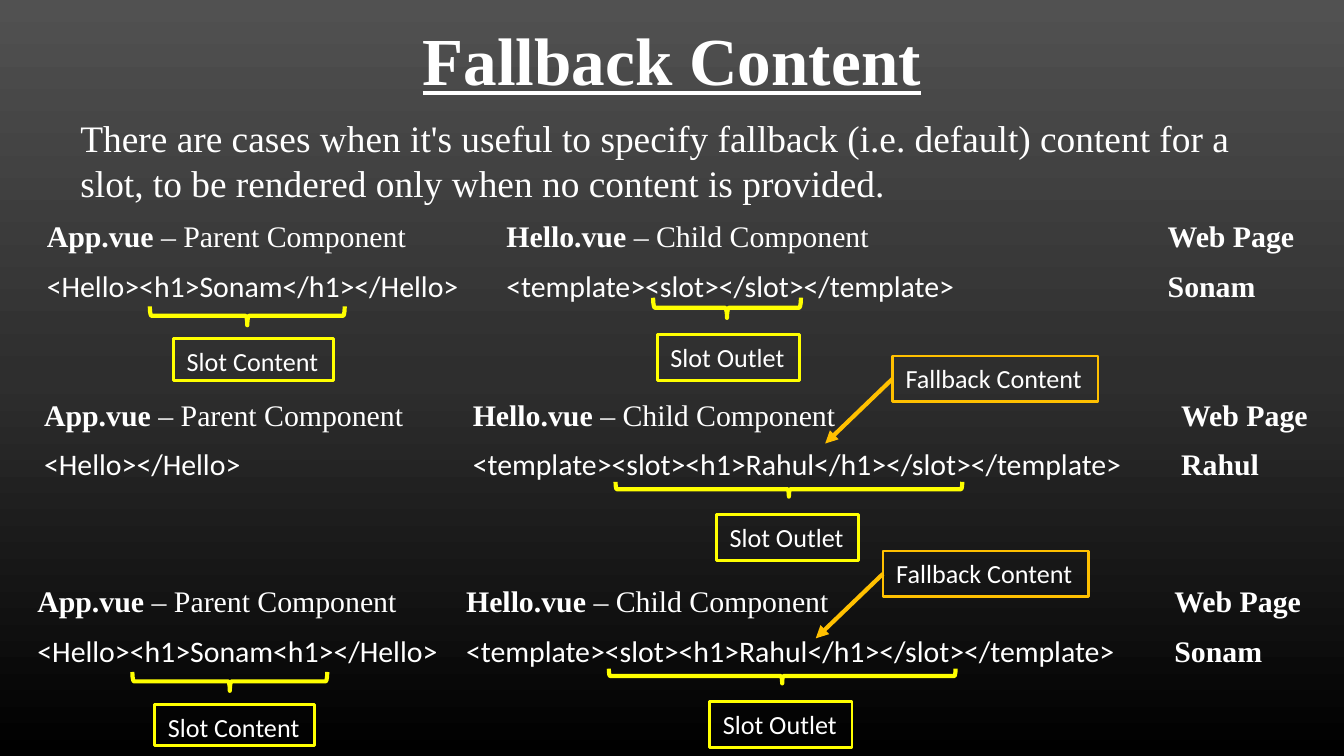
from pptx import Presentation
from pptx.dml.color import RGBColor
from pptx.enum.shapes import MSO_CONNECTOR, MSO_SHAPE
from pptx.enum.text import MSO_ANCHOR, PP_ALIGN
from pptx.oxml import parse_xml
from pptx.oxml.ns import nsdecls
from pptx.util import Inches, Pt

SERIF, SANS = "Times New Roman", "Calibri"
WHITE, YELLOW, AMBER = "FFFFFF", "FFFF00", "FFC000"
STOPS = [(0, "515151"), (50, "2E2E2E"), (100, "000000")]

TITLE = "Fallback Content"
INTRO = ("There are cases when it's useful to specify fallback (i.e. default) "
         "content for a slot, to be rendered only when no content is provided.")
PARENT = [("App.vue ", True), ("– Parent Component", False)]
CHILD = [("Hello.vue ", True), ("– Child Component", False)]
PAGE = [("Web Page", True)]
FALL = "<template><slot><h1>Rahul</h1></slot></template>"

# Each example: top, then (left, width, code) for parent, child and (left, result)
ROWS = [
    (1.57, (0.25, 3.42, "<Hello><h1>Sonam</h1></Hello>"),
     (3.67, 3.67, "<template><slot></slot></template>"), (8.59, "Sonam")),
    (2.9, (0.23, 3.42, "<Hello></Hello>"), (3.42, 5.08, FALL), (8.69, "Rahul")),
    (4.29, (0.18, 3.42, "<Hello><h1>Sonam<h1></Hello>"),
     (3.37, 5.08, FALL), (8.64, "Sonam")),
]
# Label size and outline colour
KINDS = {"Slot Content": (1.19, 0.31, YELLOW),
         "Slot Outlet": (1.06, 0.34, YELLOW),
         "Fallback Content": (1.53, 0.34, AMBER)}
# Label, its left and top, then brace: centre x, centre y, span, depth
MARKS = [
    ("Slot Content", 1.29, 2.52, (1.84, 2.35, 1.45, 0.14)),
    ("Slot Outlet", 4.89, 2.49, (5.41, 2.29, 1.1, 0.15)),
    ("Slot Outlet", 5.33, 3.83, (5.87, 3.64, 2.58, 0.11)),
    ("Slot Content", 1.15, 5.24, (1.71, 5.07, 1.45, 0.14)),
    ("Slot Outlet", 5.28, 5.22, (5.82, 5.03, 2.58, 0.11)),
]
NOTES = [(6.64, 2.65), (6.57, 4.1)]
REACH = (-0.5, 0.48)

deck = Presentation()
deck.slide_width = Inches(10)
deck.slide_height = deck.slide_width * 9 // 16
slide = deck.slides.add_slide(deck.slide_layouts[6])
shapes = slide.shapes


def color(code):
    return RGBColor.from_string(code)


def put(para, text, size, font=SERIF, bold=False, under=False):
    run = para.add_run()
    run.text = text
    face = run.font
    face.size, face.name, face.bold = Pt(size), font, bold
    face.underline = under
    face.color.rgb = color(WHITE)


def frame(x, y, w, h):
    body = shapes.add_textbox(*map(Inches, (x, y, w, h))).text_frame
    body.word_wrap = True
    return body


def block(x, y, w, head, text, font, bold):
    body = frame(x, y, w, 0.8)
    for part, strong in head:
        put(body.paragraphs[0], part, 16, bold=strong)
    para = body.add_paragraph()
    para.space_before = Pt(7.5)
    put(para, text, 16, font, bold)


def outline(kind, x, y, w, h, tone, width):
    shape = shapes.add_shape(kind, *map(Inches, (x, y, w, h)))
    shape.shadow.inherit = False
    shape.fill.background()
    shape.line.color.rgb = color(tone)
    shape.line.width = Pt(width)
    return shape


def label(text, x, y):
    w, h, tone = KINDS[text]
    box = outline(MSO_SHAPE.RECTANGLE, x, y, w, h, tone, 1.5)
    body = box.text_frame
    body.word_wrap = False
    body.vertical_anchor = MSO_ANCHOR.TOP
    para = body.paragraphs[0]
    para.alignment = PP_ALIGN.LEFT
    put(para, text, 14, SANS)
    return box


def brace(x, y, span, depth):
    # Turned so that its tip points down
    shape = outline(MSO_SHAPE.LEFT_BRACE, x - depth / 2, y - span / 2,
                    depth, span, YELLOW, 2.25)
    shape.rotation = 270


def arrow(box):
    x, y = box.left, box.top + box.height // 2
    line = shapes.add_connector(MSO_CONNECTOR.STRAIGHT, x, y,
                                x + Inches(REACH[0]), y + Inches(REACH[1]))
    line.begin_connect(box, 1)
    line.line.color.rgb = color(AMBER)
    line.line.width = Pt(2.25)
    line.line._get_or_add_ln().append(
        parse_xml(f'<a:tailEnd {nsdecls("a")} type="triangle"/>'))
    line._element.spPr.append(parse_xml(f'<a:effectLst {nsdecls("a")}/>'))


# Background gradient, top to bottom
stops = "".join(f'<a:gs pos="{pos * 1000}"><a:srgbClr val="{tone}"/></a:gs>'
                for pos, tone in STOPS)
slide.element.cSld.insert(0, parse_xml(
    f'<p:bg {nsdecls("p", "a")}><p:bgPr><a:gradFill><a:gsLst>{stops}</a:gsLst>'
    '<a:lin ang="5400000" scaled="0"/></a:gradFill><a:effectLst/></p:bgPr></p:bg>'))

# Title and introduction
body = frame(0.5, 0.06, 9, 0.75)
body.vertical_anchor = MSO_ANCHOR.MIDDLE
body.paragraphs[0].alignment = PP_ALIGN.CENTER
put(body.paragraphs[0], TITLE, 36, bold=True, under=True)
put(frame(0.5, 0.81, 9, 0.92).paragraphs[0], INTRO, 20)

# Three examples
for top, parent, child, (left, result) in ROWS:
    for head, (x, w, code) in ((PARENT, parent), (CHILD, child)):
        block(x, top, w, head, code, SANS, False)
    block(left, top, 1.23, PAGE, result, SERIF, True)

# Braces with labels, and fallback notes with arrows
for text, x, y, curve in MARKS:
    brace(*curve)
    label(text, x, y)
for spot in NOTES:
    arrow(label("Fallback Content", *spot))

deck.save("out.pptx")
